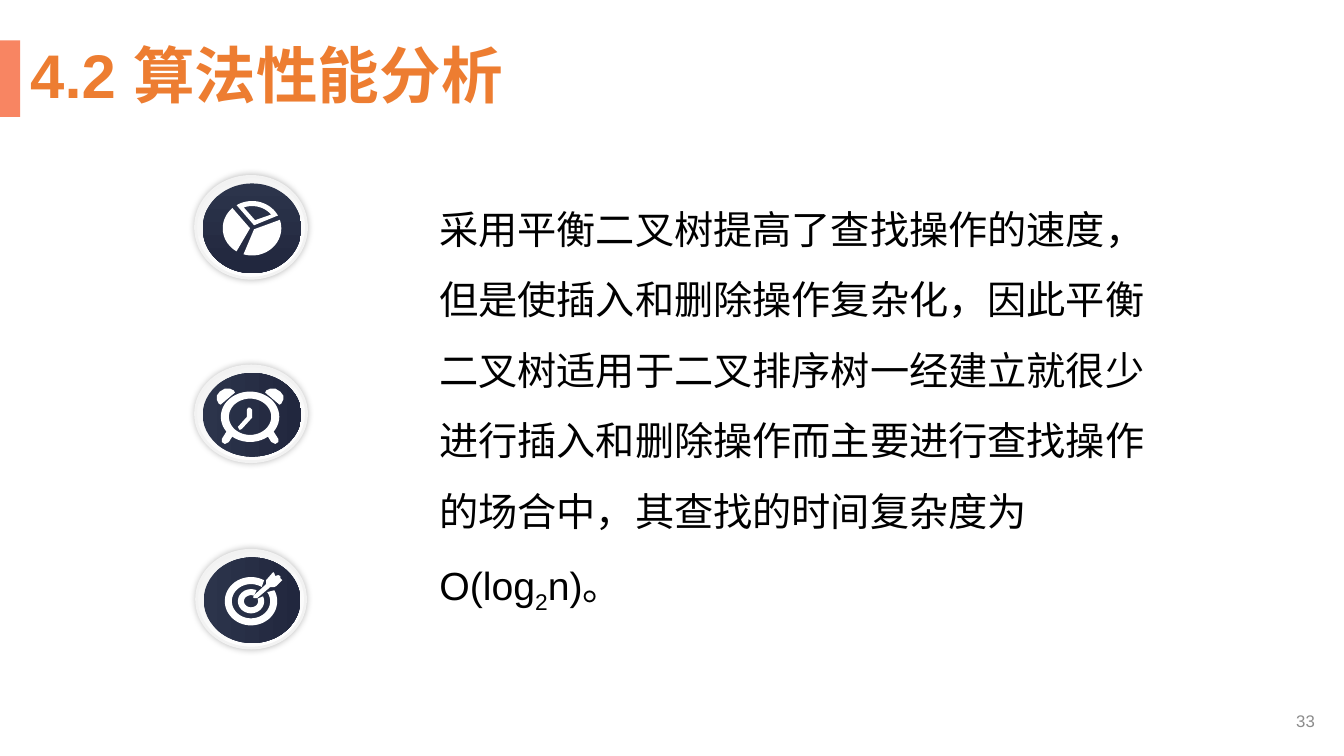
from math import cos, radians, sin

from lxml import etree
from pptx import Presentation
from pptx.dml.color import RGBColor
from pptx.enum.shapes import MSO_SHAPE
from pptx.enum.text import MSO_ANCHOR, MSO_AUTO_SIZE, PP_ALIGN
from pptx.oxml.ns import qn
from pptx.util import Pt

PX = 9144  # 100 px to the inch
RECT, OVAL = MSO_SHAPE.RECTANGLE, MSO_SHAPE.OVAL
MIDDLE, TOP = MSO_ANCHOR.MIDDLE, MSO_ANCHOR.TOP
LEFT, RIGHT = PP_ALIGN.LEFT, PP_ALIGN.RIGHT
FONT = "Arial"
C = {
    "accent": "F88562", "title": "ED7D31", "text": "000000", "number": "8C8C8C",
    "white": "FFFFFF", "rim": "F2F2F2", "navy": "2C344B", "navy_dark": "21273E",
}


def rgb(name):
    return RGBColor.from_string(C[name])


def emu(*lengths):
    return [round(n * PX) for n in lengths]


def add_shape(s, kind, box):
    sp = s.shapes.add_shape(kind, *emu(*box))
    sp.shadow.inherit = False
    sp.line.fill.background()
    return sp


def fill_gradient(sp, start, end, angle):
    sp.fill.gradient()
    sp.fill.gradient_angle = angle
    for stop, name in zip(sp.fill.gradient_stops, (start, end)):
        stop.color.rgb = rgb(name)


def add_glow(sp):
    """Give the shape a soft dark shadow on all sides."""
    effects = sp._element.spPr.find(qn("a:effectLst"))
    shadow = etree.SubElement(effects, qn("a:outerShdw"), blurRad=str(Pt(5)), dist="0",
                              algn="ctr", rotWithShape="0")
    colour = etree.SubElement(shadow, qn("a:srgbClr"), val=C["text"])
    etree.SubElement(colour, qn("a:alpha"), val="26000")


def arc(rx, ry, start, end, steps=48):
    """Points of an elliptical arc about (0, 0), clockwise in degrees."""
    angles = [radians(start + (end - start) * i / steps) for i in range(steps + 1)]
    return [(rx * cos(a), ry * sin(a)) for a in angles]


def mirror(points):
    return [(-x, y) for x, y in points]


def add_outline(s, centre, *contours):
    """Draw one white shape; later contours cut holes in the first."""
    cx, cy = centre
    placed = [[emu(cx + x, cy + y) for x, y in c] for c in contours]
    builder = s.shapes.build_freeform(*placed[0][0], scale=1)
    for i, points in enumerate(placed):
        if i:
            builder.move_to(*points[0])
        builder.add_line_segments(points[1:], close=True)
    sp = builder.convert_to_shape()
    sp.shadow.inherit = False
    sp.fill.solid()
    sp.fill.fore_color.rgb = rgb("white")
    sp.line.fill.background()


def pie_icon(s, cx, cy):
    centre = (cx + 1, cy + 1)
    add_outline(s, centre, [(2, 1)] + arc(29, 27, -18, 107))
    add_outline(s, centre, [(2, -3)] + arc(29, 27, 238, 332),
                [(3, -8)] + arc(24, 22, 250, 322))
    add_outline(s, centre, [(-2, 0)] + arc(29, 27, 122, 228))


def clock_icon(s, cx, cy):
    centre = (cx - 1, cy + 3)
    bell = [(15, -24), (16, -26), (20, -28), (25, -28), (30, -25), (33, -21),
            (33, -17), (31, -13), (29, -12), (28, -13)]
    foot = [(23, 14), (28, 22), (28, 25), (25, 27), (21, 25), (16, 17)]
    hands = [(-3, -7), (-2, -9), (0, -9), (2, -7), (2, 1), (-8, 12), (-10, 13),
             (-11, 12), (-12, 10), (-3, 0)]
    add_outline(s, centre, arc(29, 25, 0, 360), arc(21, 18, 0, 360))
    for part in (bell, foot):
        add_outline(s, centre, part)
        add_outline(s, centre, mirror(part))
    add_outline(s, centre, hands)


def target_icon(s, cx, cy):
    centre = (cx, cy + 2)
    dart = [(2, -4), (3, -6), (15, -17), (15, -21), (22, -29), (23, -28), (24, -25),
            (27, -26), (29, -25), (29, -23), (31, -21), (25, -15), (23, -14),
            (19, -14), (6, -3), (3, -3)]
    add_outline(s, centre, arc(26, 24, -27, 300) + arc(19, 17, 304, -32))
    add_outline(s, centre, arc(13, 12, -24, 295) + arc(7, 6, 295, -24))
    add_outline(s, centre, dart)


def add_badge(s, box, draw_icon, angle):
    x, y, w, h = box
    rim = add_shape(s, OVAL, box)
    fill_gradient(rim, "white", "rim", 110)
    rim.line.color.rgb = rgb("rim")
    rim.line.width = Pt(2)
    add_glow(rim)
    disc = add_shape(s, OVAL, (x + 7, y + 7, w - 12, h - 12))
    fill_gradient(disc, "navy", "navy_dark", angle)
    draw_icon(s, x + w / 2, y + h / 2)


def format_text(sp, size, colour, align=LEFT, anchor=TOP, spacing=1.0, bold=False):
    tf = sp.text_frame
    tf.word_wrap = True
    tf.auto_size = MSO_AUTO_SIZE.NONE
    tf.vertical_anchor = anchor
    p = tf.paragraphs[0]
    p.alignment = align
    p.line_spacing = spacing
    p.font.name, p.font.size, p.font.bold = FONT, Pt(size), bold
    p.font.color.rgb = rgb(colour)


def add_header(s, box, text):
    x, y, w, h = box
    bar = add_shape(s, RECT, (x, y, 20, h))
    bar.fill.solid()
    bar.fill.fore_color.rgb = rgb("accent")
    title = s.shapes.title
    title.left, title.top, title.width, title.height = emu(x + 20, y, w - 20, h)
    title.text_frame.text = text
    format_text(title, 44, "title", anchor=MIDDLE, spacing=0.9, bold=True)


def add_body(s, box):
    sp = s.shapes.add_textbox(*emu(*box))
    p = sp.text_frame.paragraphs[0]
    p.add_run().text = (
        "采用平衡二叉树提高了查找操作的速度，但是使插入和删除操作复杂化，"
        "因此平衡二叉树适用于二叉排序树一经建立就很少进行插入和删除操作"
        "而主要进行查找操作的场合中，其查找的时间复杂度为O(log")
    r = p.add_run()
    r.text = "2"
    r.font._element.set("baseline", "-25000")
    p.add_run().text = "n)。"
    format_text(sp, 28, "text", spacing=1.5)


def add_page_number(s, box, number):
    sp = s.shapes.add_textbox(*emu(*box))
    sp.text_frame.text = number
    format_text(sp, 12, "number", align=RIGHT, anchor=MIDDLE)


def main():
    prs = Presentation()
    prs.slide_width, prs.slide_height = emu(1333, 750)
    s = prs.slides.add_slide(prs.slide_layouts[5])
    add_header(s, (0, 40, 1314, 76), "4.2 算法性能分析")
    add_body(s, (426, 175, 727, 430))
    add_page_number(s, (1014, 695, 300, 40), "33")
    add_badge(s, (195, 546, 108, 97), target_icon, 0)
    add_badge(s, (194, 175, 110, 101), pie_icon, 270)
    add_badge(s, (194, 363, 110, 95), clock_icon, 0)
    prs.save("out.pptx")


if __name__ == "__main__":
    main()
